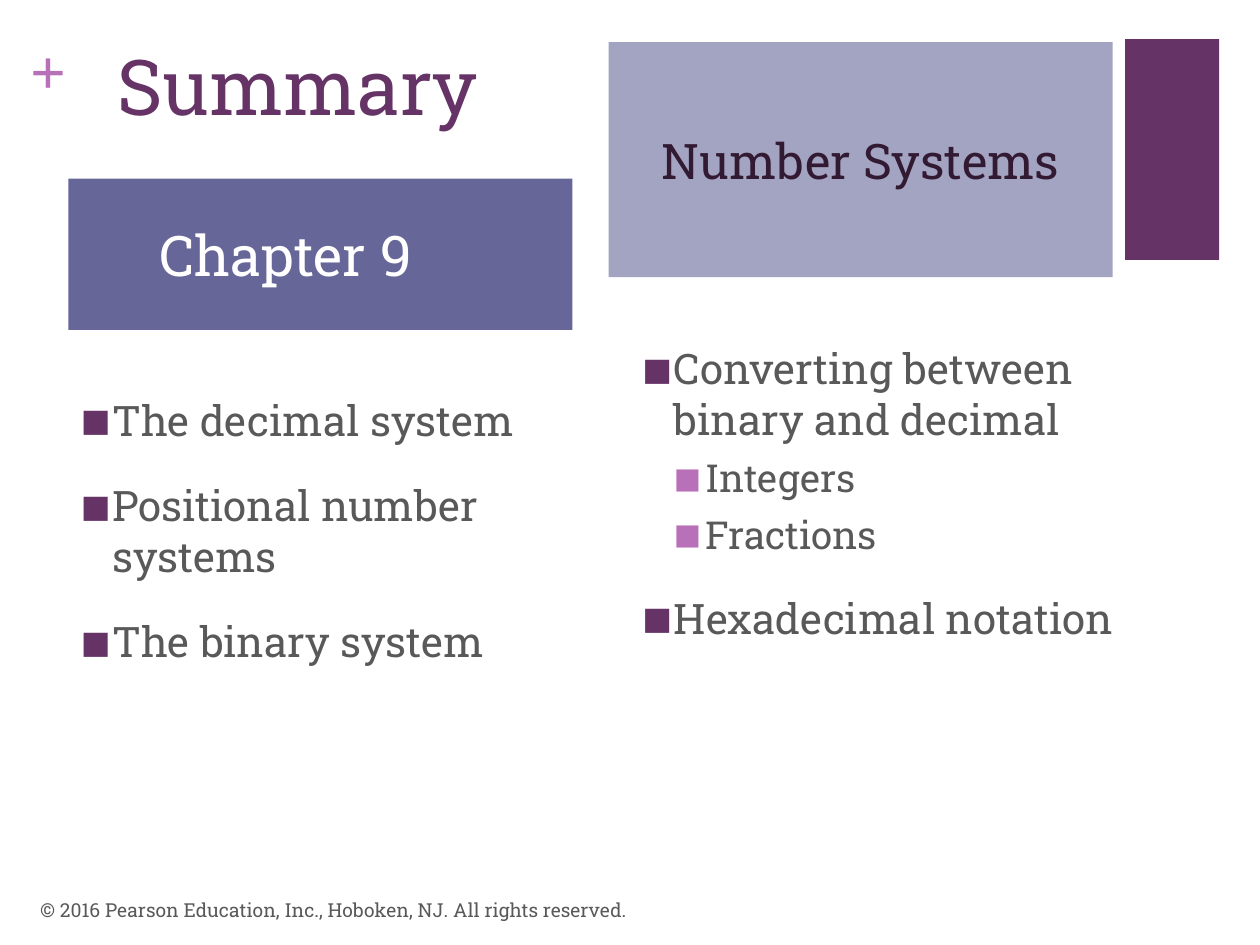
from lxml import etree
from pptx import Presentation
from pptx.dml.color import RGBColor
from pptx.enum.shapes import MSO_SHAPE
from pptx.enum.text import MSO_ANCHOR, MSO_AUTO_SIZE, PP_ALIGN
from pptx.oxml.ns import qn
from pptx.util import Cm, Pt

TOP, MIDDLE = MSO_ANCHOR.TOP, MSO_ANCHOR.MIDDLE
LEFT, CENTER = PP_ALIGN.LEFT, PP_ALIGN.CENTER
RECTANGLE = MSO_SHAPE.RECTANGLE
NO_AUTOFIT = MSO_AUTO_SIZE.NONE
COMPARISON_LAYOUT = 4

FONT = "Roboto Slab"
PLUM, ORCHID, GRAY = "663366", "B870B8", "595959"
LEVELS = [
    {"size": 24, "before": 20, "bullet": PLUM},
    {"size": 22, "before": 6, "bullet": ORCHID},
]
INDENT = 0.635


def color(value):
    return RGBColor.from_string(value)


def place(shape, box):
    shape.left, shape.top, shape.width, shape.height = (Cm(length) for length in box)


def prepare_text(shape, anchor, margins=(0.25, 0.13, 0.25, 0.13)):
    frame = shape.text_frame
    frame.word_wrap = True
    frame.auto_size = NO_AUTOFIT
    frame.vertical_anchor = anchor
    frame.margin_left, frame.margin_top, frame.margin_right, frame.margin_bottom = (
        Cm(margin) for margin in margins
    )
    return frame


def add_run(paragraph, text, size, text_color, font=FONT, bold=False):
    run = paragraph.add_run()
    run.text = text
    run.font.name = font
    run.font.size = Pt(size)
    run.font.bold = bold
    run.font.color.rgb = color(text_color)


def add_line(frame, text, size, text_color, alignment=LEFT, **font_options):
    paragraph = frame.paragraphs[0]
    paragraph.alignment = alignment
    paragraph.space_before = Pt(0)
    add_run(paragraph, text, size, text_color, **font_options)


def set_bullet(paragraph, level, bullet_color):
    properties = paragraph._p.get_or_add_pPr()
    properties.set("marL", str(Cm(INDENT * (level + 1))))
    properties.set("indent", str(-Cm(INDENT)))
    holder = etree.SubElement(properties, qn("a:buClr"))
    etree.SubElement(holder, qn("a:srgbClr"), val=bullet_color)
    etree.SubElement(properties, qn("a:buSzPct"), val="75000")
    etree.SubElement(properties, qn("a:buFont"), typeface=FONT)
    etree.SubElement(properties, qn("a:buChar"), char="■")


def build_title(title, box, text):
    place(title, box)
    frame = prepare_text(title, TOP)
    add_line(frame, text, 44, PLUM)


def build_banner(banner, box, text, size, text_color, fill, right_margin=0.25):
    place(banner, box)
    banner.fill.solid()
    banner.fill.fore_color.rgb = color(fill)
    frame = prepare_text(banner, MIDDLE, (0.25, 0, right_margin, 0))
    add_line(frame, text, size, text_color, CENTER)


def build_list(body, box, items):
    place(body, box)
    frame = prepare_text(body, TOP)
    for index, (level, text) in enumerate(items):
        paragraph = frame.add_paragraph() if index else frame.paragraphs[0]
        style = LEVELS[level]
        paragraph.level = level
        paragraph.space_before = Pt(style["before"] if index else 0)
        set_bullet(paragraph, level, style["bullet"])
        add_run(paragraph, text, style["size"], GRAY)


def build_decoration(slide, block_box, plus_box):
    block = slide.shapes.add_shape(RECTANGLE, *(Cm(length) for length in block_box))
    block.shadow.inherit = False
    block.fill.solid()
    block.fill.fore_color.rgb = color(PLUM)
    block.line.fill.background()
    plus = slide.shapes.add_textbox(*(Cm(length) for length in plus_box))
    frame = prepare_text(plus, TOP, (0, 0, 0, 0))
    add_line(frame, "+", 36, ORCHID, font="Times New Roman", bold=True)


def build_footer(slide, box, text):
    footer = slide.shapes.add_textbox(*(Cm(length) for length in box))
    frame = prepare_text(footer, MIDDLE)
    add_line(frame, text, 11, GRAY)


def main():
    presentation = Presentation()
    presentation.slide_width, presentation.slide_height = Cm(25.4), Cm(19.05)
    slide = presentation.slides.add_slide(
        presentation.slide_layouts[COMPARISON_LAYOUT]
    )
    title, left_banner, left_list, right_banner, right_list = slide.placeholders

    build_decoration(slide, (22.68, 0.79, 1.9, 4.45), (0.61, 0.64, 0.74, 1.55))
    build_title(title, (2.11, 0.64, 11.3, 3.1), "Summary")
    build_banner(left_banner, (1.38, 3.6, 10.16, 3.05), "Chapter 9", 32,
                 "FFFFFF", "666699", right_margin=1.65)
    build_banner(right_banner, (12.27, 0.85, 10.16, 4.74), "Number Systems", 28,
                 "331A33", "A3A3C2")
    build_list(left_list, (1.38, 7.82, 10.16, 10.16), [
        (0, "The decimal system"),
        (0, "Positional number systems"),
        (0, "The binary system"),
    ])
    build_list(right_list, (12.7, 6.78, 10.16, 11), [
        (0, "Converting between binary and decimal"),
        (1, "Integers"),
        (1, "Fractions"),
        (0, "Hexadecimal notation"),
    ])
    build_footer(slide, (0.56, 17.83, 17.02, 1.02),
                 "© 2016 Pearson Education, Inc., Hoboken, NJ. All rights reserved.")
    presentation.save("out.pptx")


if __name__ == "__main__":
    main()
